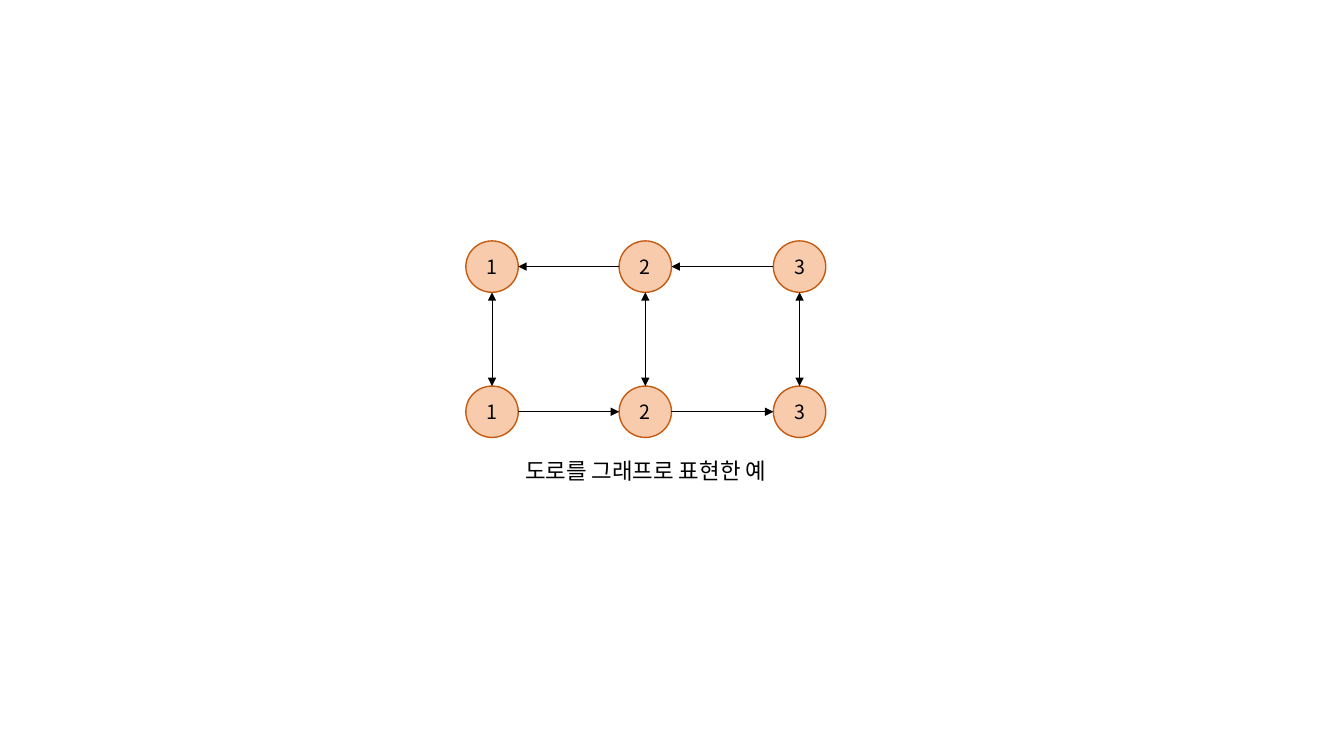
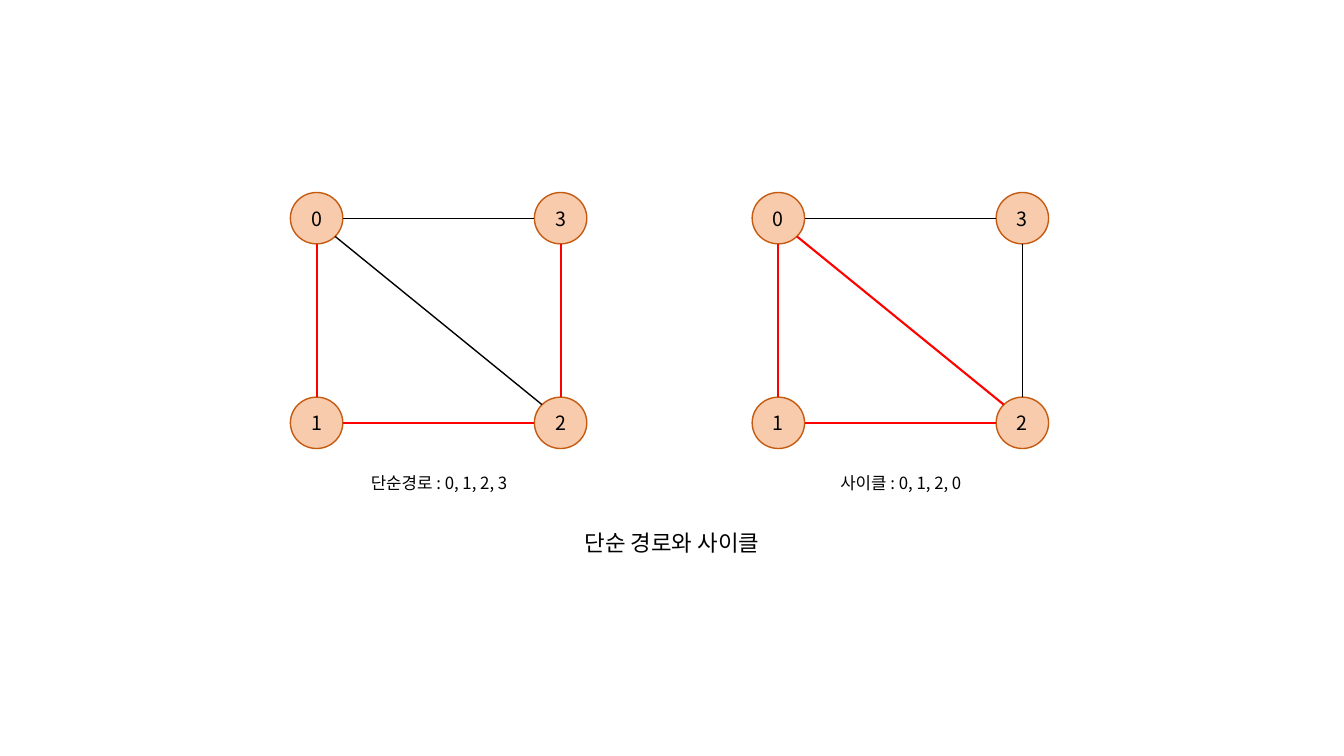
from math import cos, pi, sin

from lxml import etree
from pptx import Presentation
from pptx.dml.color import RGBColor
from pptx.enum.shapes import MSO_CONNECTOR, MSO_SHAPE
from pptx.enum.text import MSO_ANCHOR, MSO_AUTO_SIZE, PP_ALIGN
from pptx.oxml.ns import qn
from pptx.util import Inches, Pt

FONT = "Noto Sans CJK KR"
BLACK, RED = "000000", "FF0000"
NODE_FILL, NODE_LINE = "F8CBAD", "C55A11"
NODE_W, NODE_H = 0.52, 0.51

# Connection sites of an ellipse, counter-clockwise in steps of 45 degrees
TOP, TOP_LEFT, LEFT, BOTTOM, BOTTOM_RIGHT, RIGHT = 0, 1, 2, 4, 5, 6


def write_centred(shape, text, size):
    shape.text_frame.text = text
    paragraph = shape.text_frame.paragraphs[0]
    paragraph.alignment = PP_ALIGN.CENTER
    font = paragraph.runs[0].font
    font.name = FONT
    font.size = Pt(size)
    font.color.rgb = RGBColor.from_string(BLACK)
    run_properties = paragraph.runs[0]._r.get_or_add_rPr()
    etree.SubElement(run_properties, qn("a:ea"), typeface=FONT)


def site_point(node, site):
    """Return the x and y of a connection site on an ellipse."""
    angle = site * pi / 4
    return (round(node.left + node.width / 2 * (1 - sin(angle))),
            round(node.top + node.height / 2 * (1 - cos(angle))))


# Road graph: two rows of nodes, one-way along the rows, two-way between them
road_nodes = {}
for row, top in enumerate([2.39, 3.83]):
    for column, left in enumerate([4.62, 6.14, 7.67]):
        road_nodes[row, column] = (str(column + 1), left, top)

road_edges = []
for column in range(2):
    road_edges.append(((0, column + 1), LEFT, (0, column), RIGHT, BLACK, 0.5, ["tailEnd"]))
    road_edges.append(((1, column), RIGHT, (1, column + 1), LEFT, BLACK, 0.5, ["tailEnd"]))
for column in range(3):
    road_edges.append(((0, column), BOTTOM, (1, column), TOP, BLACK, 0.5,
                       ["headEnd", "tailEnd"]))

# Path and cycle: the same graph twice, with different edges marked
path_nodes, path_edges = {}, []
for graph, left, diagonal, right_side in [
    ("path", 2.88, (BLACK, 1), (RED, 1.5)),
    ("cycle", 7.46, (RED, 1.5), (BLACK, 0.5)),
]:
    for label, dx, dy in [("0", 0, 0), ("1", 0, 2.03), ("2", 2.42, 2.03), ("3", 2.42, 0)]:
        path_nodes[graph, label] = (label, left + dx, 1.91 + dy)
    for start, start_site, end, end_site, (color, width) in [
        ("0", RIGHT, "3", LEFT, (BLACK, 1)),
        ("1", TOP, "0", BOTTOM, (RED, 1.5)),
        ("2", LEFT, "1", RIGHT, (RED, 1.5)),
        ("2", TOP_LEFT, "0", BOTTOM_RIGHT, diagonal),
        ("2", TOP, "3", BOTTOM, right_side),
    ]:
        path_edges.append(((graph, start), start_site, (graph, end), end_site,
                           color, width, []))

road_captions = [("도로를 그래프로 표현한 예", 4.62, 4.49, 3.57, 0.37, 16)]
path_captions = [
    ("단순경로 : 0, 1, 2, 3", 2.7, 4.64, 3.31, 0.3, 12),
    ("사이클 : 0, 1, 2, 0", 7.28, 4.64, 3.31, 0.3, 12),
    ("단순 경로와 사이클", 5.01, 5.2, 3.31, 0.37, 16),
]

prs = Presentation()
prs.slide_width = Inches(13.33)
prs.slide_height = Inches(7.5)

for nodes, edges, captions in [
    (road_nodes, road_edges, road_captions),
    (path_nodes, path_edges, path_captions),
]:
    slide = prs.slides.add_slide(prs.slide_layouts[6])

    circles = {}
    for key, (label, left, top) in nodes.items():
        circle = slide.shapes.add_shape(MSO_SHAPE.OVAL, Inches(left), Inches(top),
                                        Inches(NODE_W), Inches(NODE_H))
        circle.shadow.inherit = False
        circle.fill.solid()
        circle.fill.fore_color.rgb = RGBColor.from_string(NODE_FILL)
        circle.line.color.rgb = RGBColor.from_string(NODE_LINE)
        circle.line.width = Pt(1)
        circle.text_frame.vertical_anchor = MSO_ANCHOR.MIDDLE
        write_centred(circle, label, 14)
        circles[key] = circle

    for start, start_site, end, end_site, color, width, arrowheads in edges:
        edge = slide.shapes.add_connector(MSO_CONNECTOR.STRAIGHT,
                                          *site_point(circles[start], start_site),
                                          *site_point(circles[end], end_site))
        edge.line.color.rgb = RGBColor.from_string(color)
        edge.line.width = Pt(width)
        # begin_connect knows only four sites, an ellipse has eight
        joints = edge._element.find(".//" + qn("p:cNvCxnSpPr"))
        for tag, key, site in [("a:stCxn", start, start_site), ("a:endCxn", end, end_site)]:
            etree.SubElement(joints, qn(tag), id=str(circles[key].shape_id), idx=str(site))
        properties = edge._element.spPr
        for arrowhead in arrowheads:
            etree.SubElement(properties.find(qn("a:ln")), qn("a:" + arrowhead), type="triangle")
        etree.SubElement(properties, qn("a:effectLst"))

    for text, left, top, width, height, size in captions:
        caption = slide.shapes.add_textbox(Inches(left), Inches(top),
                                           Inches(width), Inches(height))
        caption.text_frame.word_wrap = True
        caption.text_frame.auto_size = MSO_AUTO_SIZE.SHAPE_TO_FIT_TEXT
        write_centred(caption, text, size)

prs.save("out.pptx")
